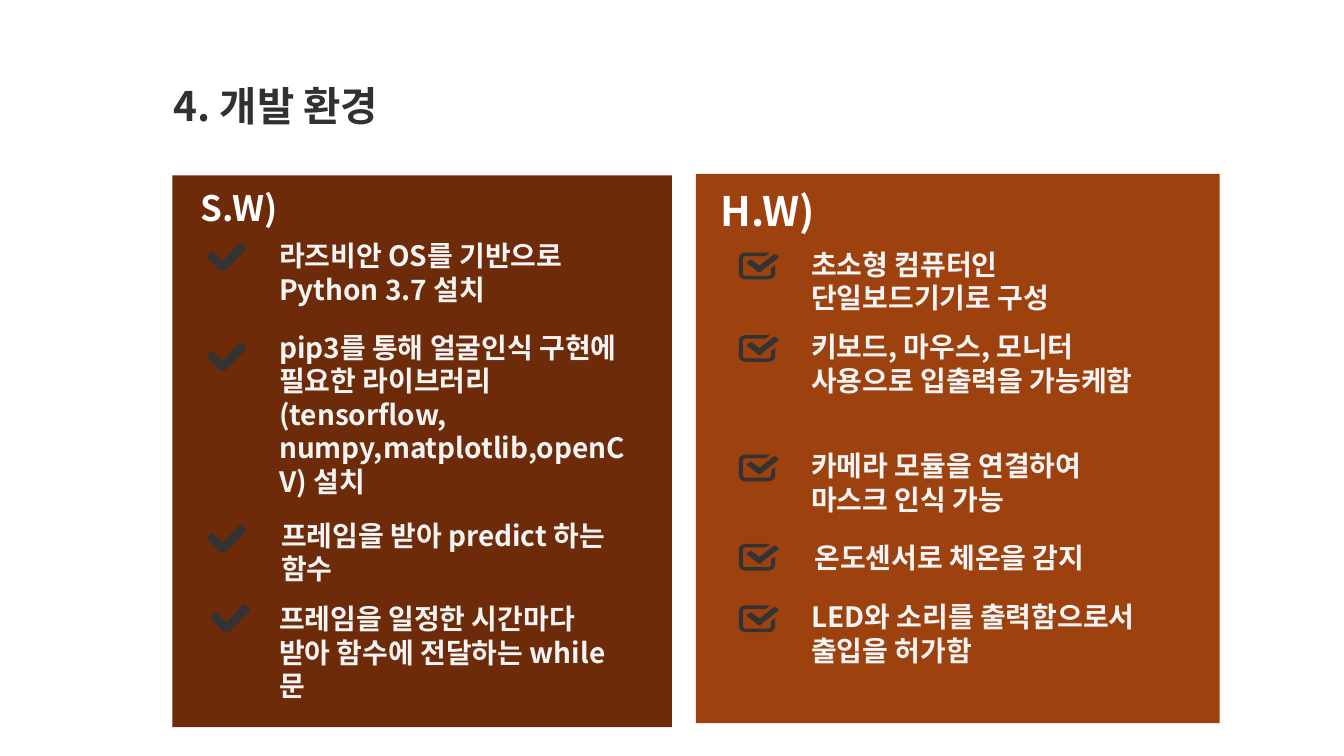
"""Build the development environment slide with a software and a hardware panel."""
from lxml.etree import SubElement
from pptx import Presentation
from pptx.dml.color import RGBColor
from pptx.enum.shapes import MSO_SHAPE
from pptx.enum.text import MSO_ANCHOR, MSO_AUTO_SIZE, PP_ALIGN
from pptx.oxml.ns import qn
from pptx.util import Cm, Pt

FONT = "Noto Sans CJK KR"
ICON_UNIT = Cm(2.54) / 100
CHECK = [[
    (25, 55), (23, 53), (1, 30), (0, 28), (1, 25), (8, 18), (11, 17), (13, 18), (28, 34), (30, 35),
    (33, 34), (64, 1), (66, 0), (69, 1), (76, 9), (77, 11), (76, 14), (38, 53), (35, 55), (32, 55),
]]
CHECK_BOX = [
    [
        (64, 31), (72, 25), (72, 42), (71, 46), (68, 50), (64, 52), (59, 53), (13, 53), (8, 52), (4, 50),
        (1, 46), (0, 42), (0, 11), (1, 7), (4, 3), (8, 1), (13, 0), (59, 0), (61, 1), (53, 7),
        (13, 7), (10, 8), (8, 11), (8, 42), (10, 45), (13, 46), (59, 46), (62, 45), (64, 42),
    ],
    [
        (78, 7), (79, 9), (78, 11), (47, 35), (43, 39), (38, 39), (34, 35), (17, 22), (16, 20),
        (17, 18), (22, 15), (24, 14), (26, 15), (41, 26), (69, 4), (71, 3), (73, 4),
    ],
]
PANELS = [
    {
        "box": (35.08, 8.76, 26.39, 27.69), "fill": "9D410F", "icon": CHECK_BOX,
        "heading": "H.W)", "heading_box": (36.07, 9.25, 22.81, 2.72), "heading_size": 58,
        "item_size": (17.81, 1.83),
        "items": [
            ("초소형 컴퓨터인 단일보드기기로 구성", 40.89, 12.45, 37.24, 12.73),
            ("키보드, 마우스, 모니터 사용으로 입출력을 가능케함", 40.89, 16.61, 37.24, 16.89),
            ("카메라 모듈을 연결하여 마스크 인식 가능", 40.89, 22.61, 37.24, 22.91),
            ("온도센서로 체온을 감지", 41.05, 27.23, 37.24, 27.41),
            ("LED와 소리를 출력함으로서 출입을 허가함", 40.89, 30.23, 37.24, 30.51),
        ],
    },
    {
        "box": (8.69, 8.84, 25.17, 27.81), "fill": "6E2B0A", "icon": CHECK,
        "heading": "S.W)", "heading_box": (9.86, 9.25, 22.81, 2.36), "heading_size": 50,
        "item_size": (17.5, 2.34),
        "items": [
            ("라즈비안 OS를 기반으로 Python 3.7 설치", 14.07, 12.04, 10.44, 12.24),
            ("pip3를 통해 얼굴인식 구현에 필요한 라이브러리(tensorflow, numpy,matplotlib,openCV) 설치",
             14.07, 16.64, 10.44, 17.27),
            ("프레임을 받아 predict 하는 함수", 14.17, 26.11, 10.44, 26.44),
            ("프레임을 일정한 시간마다 받아 함수에 전달하는 while문", 14.07, 30.33, 10.64, 30.45),
        ],
    },
]


def paint(shape, color):
    """Fill a shape with one colour, without line or shadow."""
    shape.shadow.inherit = False
    shape.fill.solid()
    shape.fill.fore_color.rgb = RGBColor.from_string(color)
    shape.line.fill.background()


def write(shape, text, box, size, color, anchor=MSO_ANCHOR.TOP, margin=0):
    """Place a text shape and give it one formatted paragraph."""
    shape.left, shape.top, shape.width, shape.height = [Cm(value) for value in box]
    frame = shape.text_frame
    frame.text = text
    frame_format = {
        "word_wrap": True, "auto_size": MSO_AUTO_SIZE.NONE, "vertical_anchor": anchor,
        "margin_left": Cm(margin), "margin_right": Cm(margin),
        "margin_top": Cm(margin / 2), "margin_bottom": Cm(margin / 2),
    }
    paragraph = frame.paragraphs[0]
    run = paragraph.runs[0]
    paragraph_format = {"alignment": PP_ALIGN.LEFT, "space_before": Pt(0), "line_spacing": Pt(size * 1.2)}
    font_format = {"name": FONT, "size": Pt(size), "bold": True}
    for target, values in ((frame, frame_format), (paragraph, paragraph_format), (run.font, font_format)):
        for name, value in values.items():
            setattr(target, name, value)
    run.font.color.rgb = RGBColor.from_string(color)
    for properties in shape.element.iter(qn("a:rPr")):
        SubElement(properties, qn("a:ea"), typeface=FONT)


presentation = Presentation()
presentation.slide_width, presentation.slide_height = Cm(67.74), Cm(38.1)
slide = presentation.slides.add_slide(presentation.slide_layouts.get_by_name("Comparison"))
shapes = slide.shapes
title, software_heading, software_body, hardware_heading, hardware_body = slide.placeholders
for placeholder in (software_body, hardware_body):
    placeholder.element.getparent().remove(placeholder.element)

write(title, "4. 개발 환경", (8.74, 3.94, 27.03, 2.72), 58, "313131", MSO_ANCHOR.MIDDLE)

for panel, heading in zip(PANELS, (hardware_heading, software_heading)):
    rectangle = shapes.add_shape(MSO_SHAPE.RECTANGLE, *[Cm(value) for value in panel["box"]])
    paint(rectangle, panel["fill"])
    title.element.addprevious(rectangle.element)
    write(heading, panel["heading"], panel["heading_box"], panel["heading_size"], "FFFFFF", margin=0.25)

    for text, text_left, text_top, icon_left, icon_top in panel["items"]:
        item_box = (text_left, text_top, *panel["item_size"])
        write(shapes.add_textbox(0, 0, 0, 0), text, item_box, 40, "F4F4F4")
        first, *others = panel["icon"]
        builder = shapes.build_freeform(*first[0], scale=ICON_UNIT)
        builder.add_line_segments(first[1:])
        for outline in others:
            builder.move_to(*outline[0])
            builder.add_line_segments(outline[1:])
        paint(builder.convert_to_shape(Cm(icon_left), Cm(icon_top)), "333333")

presentation.save("out.pptx")
